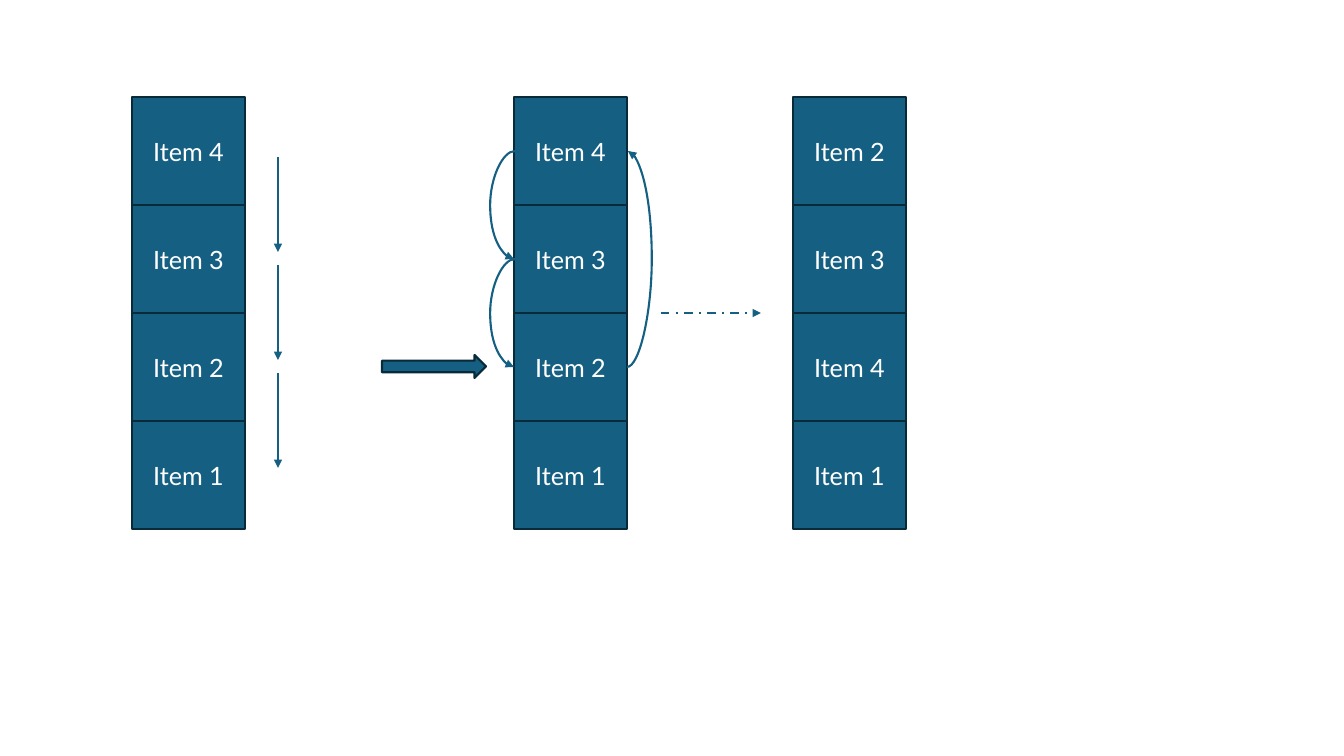
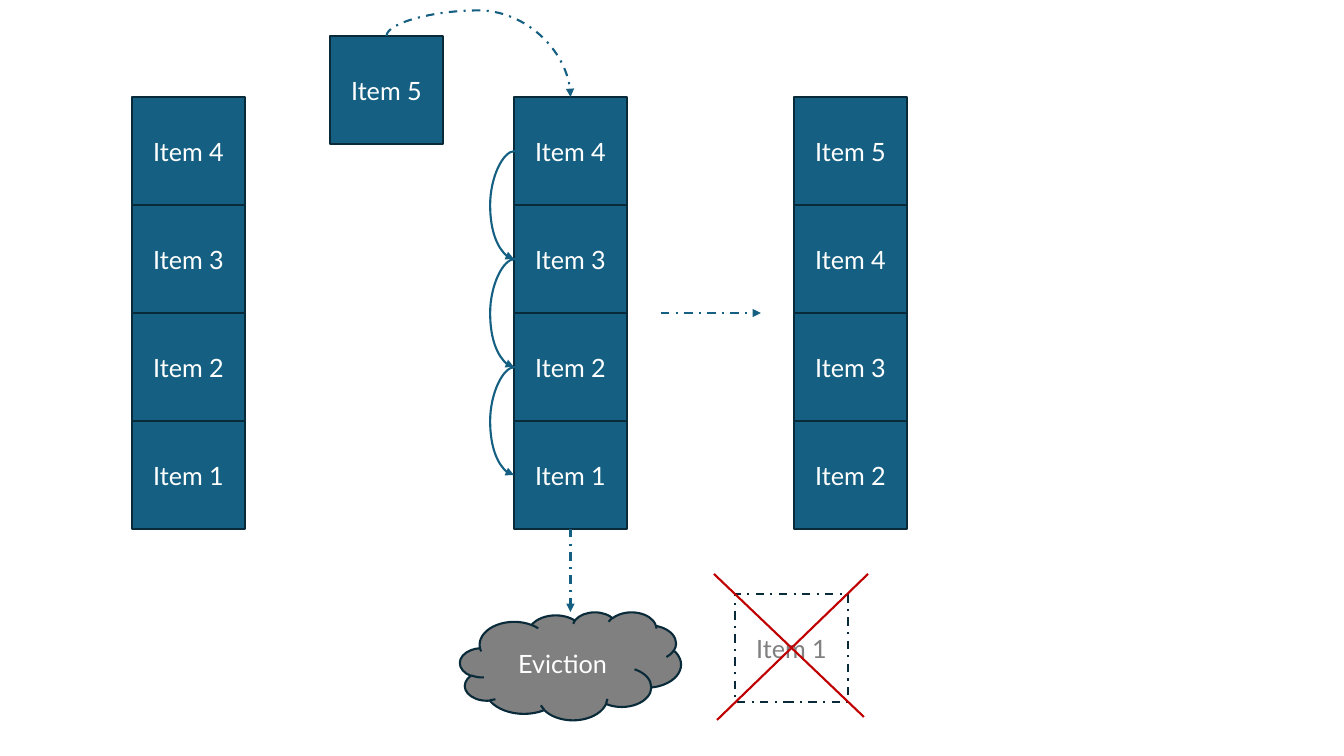
from lxml.etree import SubElement
from pptx import Presentation
from pptx.dml.color import RGBColor
from pptx.enum.dml import MSO_LINE
from pptx.enum.shapes import MSO_CONNECTOR as CONN, MSO_SHAPE as SHAPE
from pptx.enum.text import MSO_ANCHOR, PP_ALIGN
from pptx.oxml.ns import qn
from pptx.util import Emu, Pt

# Content: stacks from top to bottom
START = ["Item 4", "Item 3", "Item 2", "Item 1"]
ACCESSED = ["Item 2", "Item 3", "Item 4", "Item 1"]
INSERTED = ["Item 5", "Item 4", "Item 3", "Item 2"]
NEW_ITEM, EVICTED, EVICTION = "Item 5", "Item 1", "Eviction"

# Layout in px
SLIDE_W, SLIDE_H = 1344, 756
BOX_W, BOX_H = 113, 108
STACK_TOP = 97
BEFORE_X, MOVING_X, AFTER_X = 132, 514, 793
BULGE = 25
TOP, LEFT, BOTTOM, RIGHT = range(4)


class Theme:
    box = RGBColor.from_string("156082")
    outline = RGBColor.from_string("092A39")
    grey = RGBColor.from_string("808080")
    cross = RGBColor.from_string("C00000")
    white = RGBColor.from_string("FFFFFF")
    font = "Lato"
    size = Pt(18)
    line = Pt(1.5)


def px(n):
    return Emu(round(n * 12192000 / SLIDE_W))


def set_line(line, color, dashed=False):
    line.color.rgb = color
    line.width = Theme.line
    if dashed:
        line.dash_style = MSO_LINE.DASH_DOT


def add_block(s, kind, x, y, w, h, text="", fill=Theme.box, color=Theme.white, dashed=False):
    sp = s.shapes.add_shape(kind, px(x), px(y), px(w), px(h))
    sp.shadow.inherit = False
    if fill is None:
        sp.fill.background()
    else:
        sp.fill.solid()
        sp.fill.fore_color.rgb = fill
    set_line(sp.line, Theme.outline, dashed)
    if text:
        tf = sp.text_frame
        tf.vertical_anchor = MSO_ANCHOR.MIDDLE
        tf.text = text
        p = tf.paragraphs[0]
        p.alignment = PP_ALIGN.CENTER
        font = p.runs[0].font
        font.name, font.size, font.color.rgb = Theme.font, Theme.size, color
    return sp


def add_item(s, x, y, text, **style):
    return add_block(s, SHAPE.RECTANGLE, x, y, BOX_W, BOX_H, text, **style)


def add_stack(s, x, items):
    return [add_item(s, x, STACK_TOP + i * BOX_H, item) for i, item in enumerate(items)]


def add_line(s, x1, y1, x2, y2, color=Theme.box, dashed=False, arrow=True, kind=CONN.STRAIGHT):
    c = s.shapes.add_connector(kind, px(x1), px(y1), px(x2), px(y2))
    set_line(c.line, color, dashed)
    if arrow:
        SubElement(c.line._get_or_add_ln(), qn("a:tailEnd"), type="triangle")
    SubElement(c._element.spPr, qn("a:effectLst"))
    return c


def add_curve(s, start, start_side, end, end_side, bend, dashed=False):
    """Join two boxes with a curve; bend is a share of the curve's own width."""
    c = add_line(s, 0, 0, 1, 1, dashed=dashed, kind=CONN.CURVE)
    c.begin_connect(start, start_side)
    c.end_connect(end, end_side)
    guides = c._element.xpath(".//a:avLst")[0]
    SubElement(guides, qn("a:gd"), name="adj1", fmla=f"val {round(bend * 100000)}")
    return c


def add_side_curve(s, start, end, side):
    c = add_curve(s, start, side, end, side, BULGE)
    # One px of width lets the bend be measured in px
    if side == LEFT:
        c.begin_x += px(1)
    else:
        c.end_x += px(1)


def add_over_curve(s, start, end, bend):
    c = add_curve(s, start, TOP, end, TOP, bend, dashed=True)
    # Turn the curve a quarter so that it leaves upwards
    mid_x, mid_y = c.left + c.width // 2, c.top + c.height // 2
    w, h = c.height, c.width
    c.left, c.top, c.width, c.height = mid_x - w // 2, mid_y - h // 2, w, h
    xfrm = c._element.spPr.find(qn("a:xfrm"))
    xfrm.set("rot", str(270 * 60000))
    xfrm.set("flipH", "1")


def add_stages(prs, after_x, after, moves):
    """Draw the three stacks, the downward moves and the arrow to the result."""
    s = prs.slides.add_slide(prs.slide_layouts[6])
    add_stack(s, BEFORE_X, START)
    moving = add_stack(s, MOVING_X, START)
    add_stack(s, after_x, after)
    for upper, lower in list(zip(moving, moving[1:]))[:moves]:
        add_side_curve(s, upper, lower, LEFT)
    middle = STACK_TOP + 2 * BOX_H
    add_line(s, 661, middle, 761, middle, dashed=True)
    return s, moving


def build_access(prs):
    s, moving = add_stages(prs, AFTER_X, ACCESSED, moves=2)
    for i in range(3):
        y = 157 + i * BOX_H
        add_line(s, 278, y, 278, y + 95)
    add_side_curve(s, moving[2], moving[0], RIGHT)
    add_block(s, SHAPE.RIGHT_ARROW, 382, 355, 104, 23)


def build_eviction(prs):
    s, moving = add_stages(prs, AFTER_X + 1, INSERTED, moves=3)
    # New item enters at the top
    new = add_item(s, 330, 36, NEW_ITEM)
    add_over_curve(s, new, moving[0], -0.42)
    # Last item leaves at the bottom
    mid_x, cloud_y = MOVING_X + BOX_W / 2, 612
    c = add_line(s, mid_x, STACK_TOP + 4 * BOX_H, mid_x, cloud_y, dashed=True)
    c.begin_connect(moving[3], BOTTOM)
    add_block(s, SHAPE.CLOUD, 460, cloud_y, 221, BOX_H, EVICTION, fill=Theme.grey)
    # Crossed-out item
    add_item(s, 735, 594, EVICTED, fill=None, color=Theme.grey, dashed=True)
    for ends in [(714, 574, 864, 717), (717, 720, 868, 574)]:
        add_line(s, *ends, color=Theme.cross, arrow=False)


def main():
    prs = Presentation()
    prs.slide_width, prs.slide_height = px(SLIDE_W), px(SLIDE_H)
    build_access(prs)
    build_eviction(prs)
    prs.save("out.pptx")


if __name__ == "__main__":
    main()
